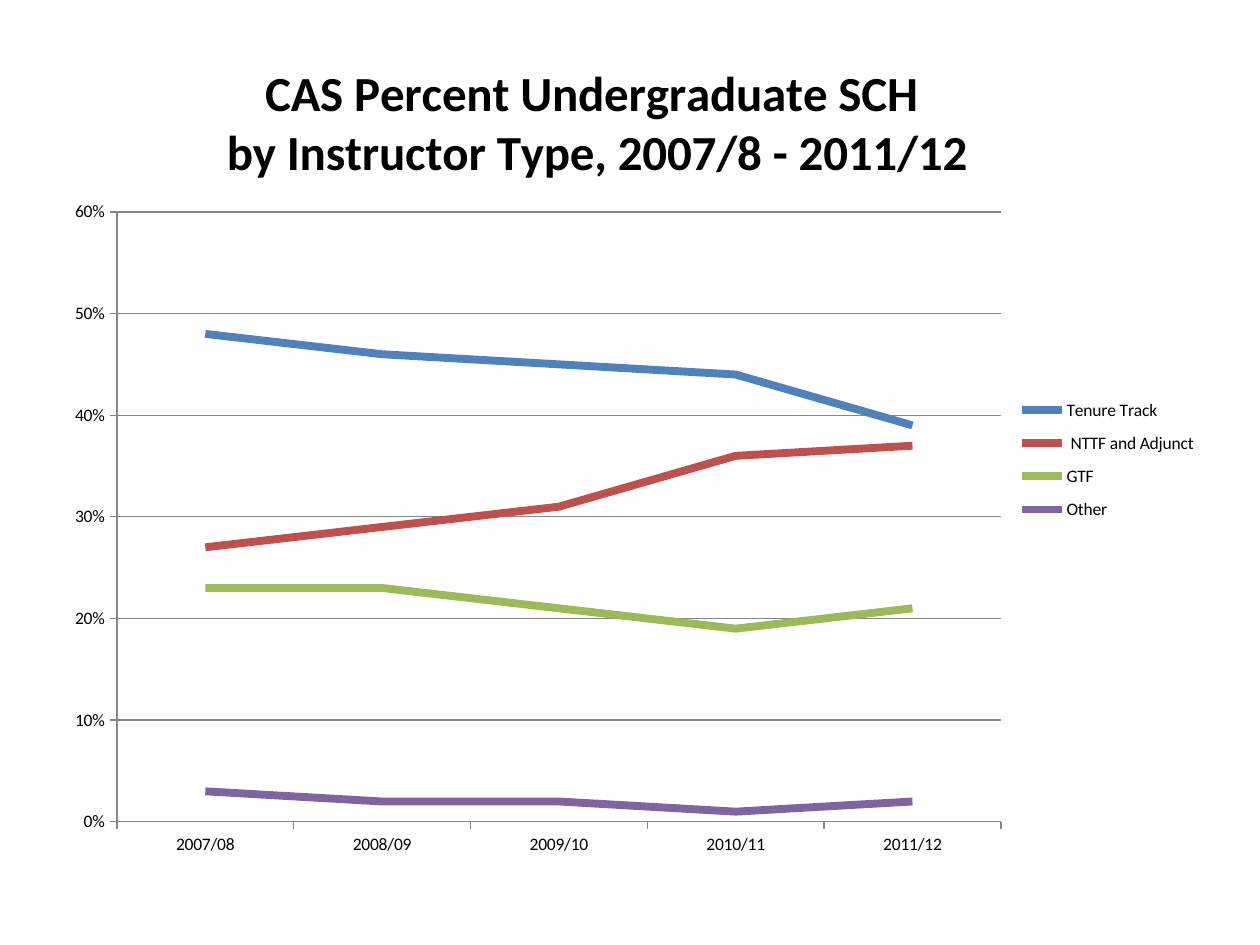
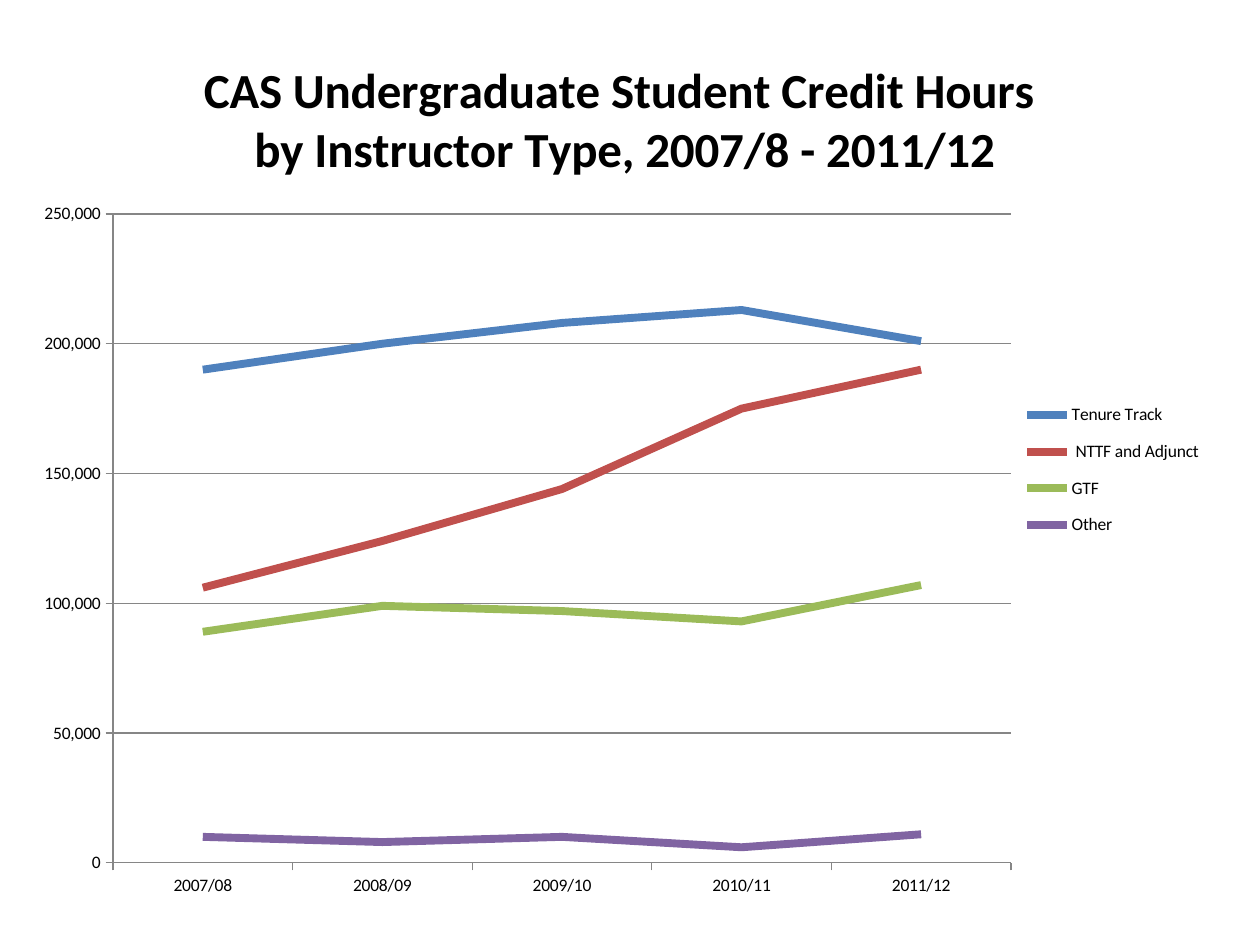
from lxml import etree
from pptx import Presentation
from pptx.chart.data import CategoryChartData
from pptx.dml.color import RGBColor
from pptx.enum.chart import XL_CHART_TYPE, XL_LEGEND_POSITION, XL_TICK_MARK
from pptx.enum.text import PP_ALIGN
from pptx.oxml.ns import qn
from pptx.util import Emu, Pt

LINE = XL_CHART_TYPE.LINE
RIGHT = XL_LEGEND_POSITION.RIGHT
OUTSIDE = XL_TICK_MARK.OUTSIDE
CENTER = PP_ALIGN.CENTER

PX_PER_INCH = 126
FONT = "Calibri"
COLORS = {
    "text": "000000",
    "rule": "868686",
    "Tenure Track": "4F81BD",
    " NTTF and Adjunct": "C0504D",
    "GTF ": "9BBB59",
    "Other": "8064A2",
}
INSTRUCTORS = ["Tenure Track", " NTTF and Adjunct", "GTF ", "Other"]
YEARS = ["2007/08", "2008/09", "2009/10", "2010/11", "2011/12"]
PERIOD = "by Instructor Type, 2007/8 - 2011/12"

SHARES = [
    [0.48, 0.46, 0.45, 0.44, 0.39],
    [0.27, 0.29, 0.31, 0.36, 0.37],
    [0.23, 0.23, 0.21, 0.19, 0.21],
    [0.03, 0.02, 0.02, 0.01, 0.02],
]
HOURS = [
    [190000, 200000, 208000, 213000, 201000],
    [106000, 124000, 144000, 175000, 190000],
    [89000, 99000, 97000, 93000, 107000],
    [10000, 8000, 10000, 6000, 11000],
]


def px(n):
    """Turn pixels into EMU."""
    return Emu(round(n * 914400 / PX_PER_INCH))


def style_font(font, size, bold=False, color="text"):
    """Set the face, size, weight and colour of a font."""
    font.name = FONT
    font.size = Pt(size)
    font.bold = bold
    font.color.rgb = RGBColor.from_string(COLORS[color])


def put_text(tf, text, align=CENTER, **fmt):
    """Write text, one paragraph a line, in the given format."""
    tf.text = text
    for p in tf.paragraphs:
        p.alignment = align
        for r in p.runs:
            style_font(r.font, **fmt)


def place(element, index, frame, box, inner=False):
    """Fix a chart part at a slide position given as x, y and optional w, h."""
    for old in element.findall(qn("c:layout")):
        element.remove(old)
    layout = etree.Element(qn("c:layout"))
    element.insert(index, layout)
    manual = etree.SubElement(layout, qn("c:manualLayout"))
    left, top, width, height = frame
    x, y, *size = box
    values = [("xMode", "edge"), ("yMode", "edge"),
              ("x", (x - left) / width), ("y", (y - top) / height)]
    if inner:
        values.insert(0, ("layoutTarget", "inner"))
    if size:
        values += [("w", size[0] / width), ("h", size[1] / height)]
    for tag, value in values:
        etree.SubElement(manual, qn(f"c:{tag}")).set("val", str(value))


class Deck:
    """Holds the presentation, its style and the current slide."""

    def __init__(self, width, height):
        """Start an empty presentation."""
        self.prs = Presentation()
        self.prs.slide_width = px(width)
        self.prs.slide_height = px(height)
        self.s = None

    def slide(self):
        """Add a blank slide and make it current."""
        self.s = self.prs.slides.add_slide(self.prs.slide_layouts[6])

    def rule(self, line):
        """Draw an axis or grid line in the shared style."""
        line.width = Pt(0.75)
        line.color.rgb = RGBColor.from_string(COLORS["rule"])

    def axis(self, axis):
        """Style an axis."""
        axis.major_tick_mark = OUTSIDE
        style_font(axis.tick_labels.font, 10)
        self.rule(axis.format.line)

    def line_chart(self, frame, title, rows, fmt, top, step, plot, legend, title_at=None):
        """Add a titled line chart with one line for each instructor type."""
        data = CategoryChartData(number_format=fmt)
        data.categories = YEARS
        for name, row in zip(INSTRUCTORS, rows):
            data.add_series(name, row)
        chart = self.s.shapes.add_chart(LINE, *map(px, frame), data).chart
        style_font(chart.font, 10)

        chart.has_title = True
        put_text(chart.chart_title.text_frame, title, size=28, bold=True)
        chart.chart_title.include_in_layout = False
        if title_at:
            place(chart.chart_title._element, 1, frame, title_at)

        chart.has_legend = True
        chart.legend.position = RIGHT
        chart.legend.include_in_layout = False
        style_font(chart.legend.font, 10)
        place(chart.legend._element, 1, frame, legend)
        place(chart._chartSpace.chart.plotArea, 0, frame, plot, inner=True)

        values = chart.value_axis
        values.minimum_scale, values.maximum_scale = 0, top
        values.major_unit = step
        values.has_major_gridlines = True
        self.rule(values.major_gridlines.format.line)
        values.tick_labels.number_format = fmt
        values.tick_labels.number_format_is_linked = False
        self.axis(values)
        self.axis(chart.category_axis)

        chart.plots[0].vary_by_categories = False
        for series in chart.plots[0].series:
            series.smooth = False
            series.format.line.width = Pt(4.5)
            series.format.line.color.rgb = RGBColor.from_string(COLORS[series.name])


def main():
    """Build both slides and save them."""
    deck = Deck(1260, 945)

    deck.slide()
    deck.line_chart((53, 32, 1166, 840), f"CAS Percent Undergraduate SCH \n{PERIOD}",
                    SHARES, "0%", 0.6, 0.1, plot=(117, 212, 884, 610),
                    legend=(1016, 387, 184, 146), title_at=(223, 59))

    deck.slide()
    deck.line_chart((21, 32, 1207, 882), f"CAS Undergraduate Student Credit Hours \n{PERIOD}",
                    HOURS, "#,##0", 250000, 50000, plot=(113, 214, 898, 649),
                    legend=(1021, 388, 184, 164))

    deck.prs.save("out.pptx")


if __name__ == "__main__":
    main()
